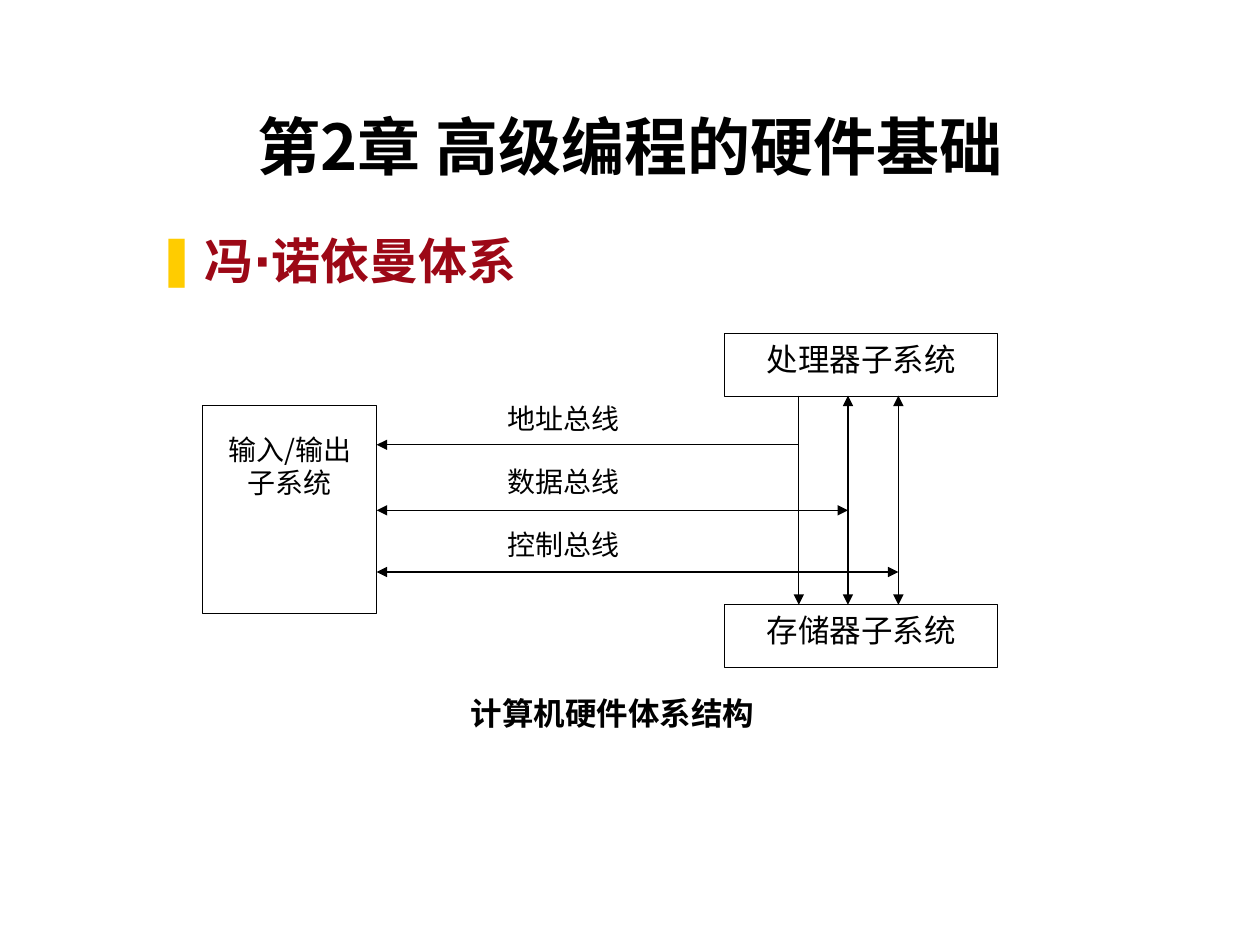
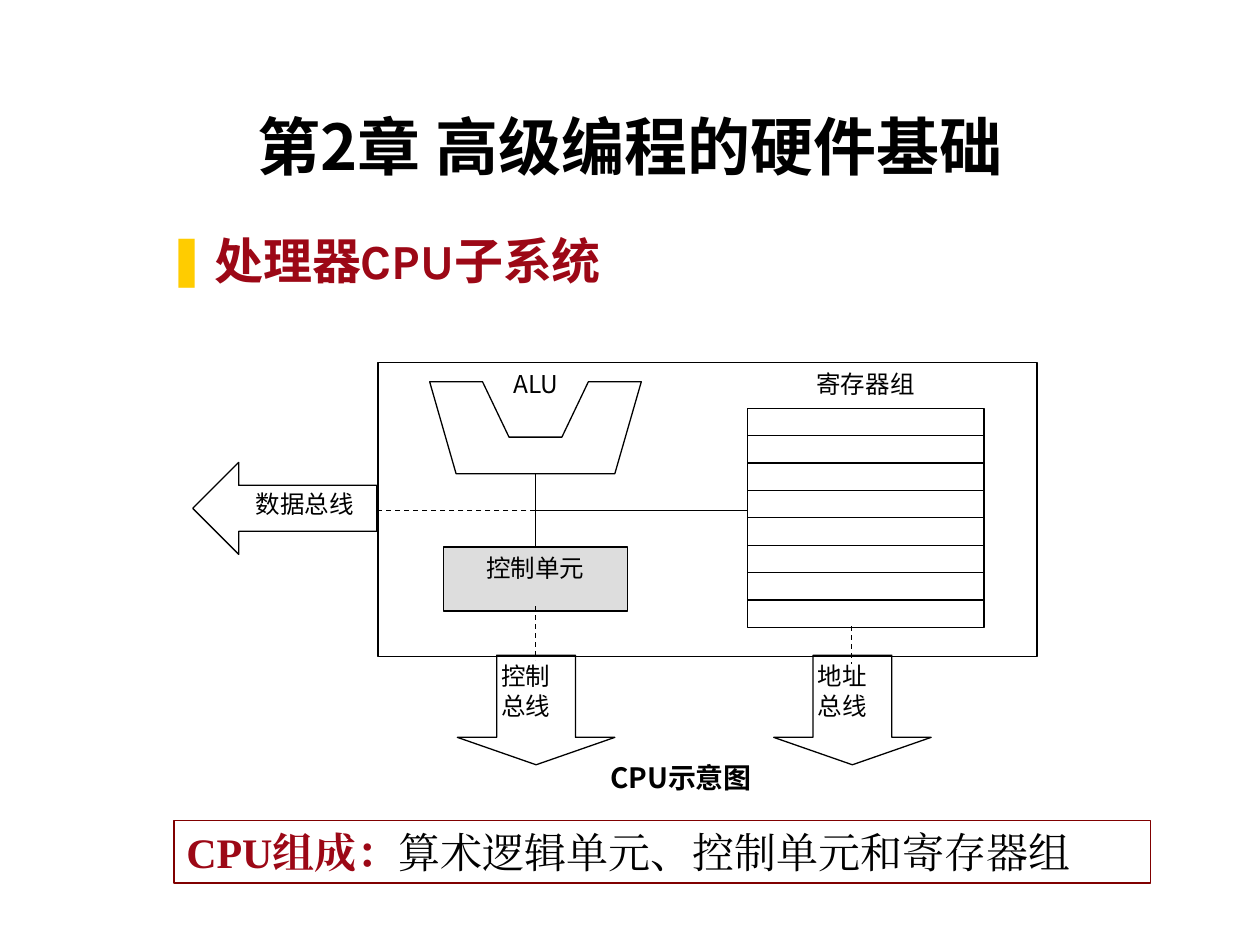
from dataclasses import dataclass

from lxml.etree import SubElement
from pptx import Presentation
from pptx.dml.color import RGBColor
from pptx.enum.dml import MSO_LINE
from pptx.enum.shapes import MSO_CONNECTOR, MSO_SHAPE
from pptx.enum.text import MSO_ANCHOR, MSO_AUTO_SIZE, PP_ALIGN
from pptx.oxml.ns import qn
from pptx.util import Inches, Pt


@dataclass(frozen=True)
class Theme:
    black: str = "000000"
    white: str = "FFFFFF"
    grey: str = "DDDDDD"
    crimson: str = "9C0816"
    maroon: str = "800000"
    bullet: str = "FFCC00"
    font: str = "Noto Sans CJK SC"
    heading_font: str = "Karla"
    dot_font: str = "Arial"
    summary_font: str = "Times New Roman"
    title_size: int = 36
    heading_size: int = 28
    summary_size: int = 24
    large: int = 18
    medium: int = 16
    small: int = 14
    line_width: float = 0.75


THEME = Theme()
CHAPTER = "第2章 高级编程的硬件基础"


# Text and line formatting
def format_run(run, size, font=THEME.font, color=THEME.black, bold=False):
    run.font.name = font
    run.font.size = Pt(size)
    run.font.bold = bold
    run.font.color.rgb = RGBColor.from_string(color)
    SubElement(run._r.get_or_add_rPr(), qn("a:ea"), typeface=font)


def write(frame, text, size, align=PP_ALIGN.CENTER, **style):
    frame.word_wrap = True
    frame.auto_size = MSO_AUTO_SIZE.NONE
    frame.text = text
    for paragraph in frame.paragraphs:
        paragraph.alignment = align
        for run in paragraph.runs:
            format_run(run, size, **style)


def place(shape, left, top, width, height):
    shape.left, shape.top = Inches(left), Inches(top)
    shape.width, shape.height = Inches(width), Inches(height)


def stroke(line, color=THEME.black):
    line.color.rgb = RGBColor.from_string(color)
    line.width = Pt(THEME.line_width)


# Kinds of element
def add_outline(slide, kind, left, top, width, height,
                fill=None, color=THEME.black):
    shape = slide.shapes.add_shape(
        kind, Inches(left), Inches(top), Inches(width), Inches(height))
    shape.shadow.inherit = False
    if fill:
        shape.fill.solid()
        shape.fill.fore_color.rgb = RGBColor.from_string(fill)
    else:
        shape.fill.background()
    stroke(shape.line, color)
    return shape


def add_box(slide, text, size, left, top, width, height,
            fill=THEME.white, top_inset=0.05):
    box = add_outline(slide, MSO_SHAPE.RECTANGLE, left, top, width, height, fill)
    frame = box.text_frame
    frame.vertical_anchor = MSO_ANCHOR.TOP
    frame.margin_top = Inches(top_inset)
    write(frame, text, size)


def add_label(slide, text, size, left, top, width, height,
              align=PP_ALIGN.CENTER, left_inset=0.1, bold=False):
    label = slide.shapes.add_textbox(
        Inches(left), Inches(top), Inches(width), Inches(height))
    label.text_frame.margin_left = Inches(left_inset)
    write(label.text_frame, text, size, align, bold=bold)


def add_line(slide, start, end, head=False, tail=False, dashed=False):
    link = slide.shapes.add_connector(
        MSO_CONNECTOR.STRAIGHT, *map(Inches, start), *map(Inches, end))
    stroke(link.line)
    if dashed:
        link.line.dash_style = MSO_LINE.DASH
    for tag, wanted in (("a:headEnd", head), ("a:tailEnd", tail)):
        if wanted:
            SubElement(link.line._get_or_add_ln(), qn(tag), type="triangle")
    SubElement(link._element.spPr, qn("a:effectLst"))


def add_bus_arrow(slide, kind, head_length, left, top, width, height):
    arrow = add_outline(slide, kind, left, top, width, height)
    arrow.adjustments[0] = 0.5
    arrow.adjustments[1] = head_length


def add_polygon(slide, points):
    corners = [(Inches(x), Inches(y)) for x, y in points]
    builder = slide.shapes.build_freeform(*corners[0])
    builder.add_line_segments(corners[1:], close=True)
    polygon = builder.convert_to_shape()
    polygon.shadow.inherit = False
    polygon.fill.background()
    stroke(polygon.line)


def start_slide(deck, heading_parts, left, width):
    """Add a slide with the chapter title and a bulleted heading."""
    slide = deck.slides.add_slide(deck.slide_layouts[1])
    title, heading = slide.shapes.title, slide.placeholders[1]
    place(title, 0, 0.25, 10, 1.25)
    title.text_frame.vertical_anchor = MSO_ANCHOR.BOTTOM
    write(title.text_frame, CHAPTER, THEME.title_size, bold=True)

    place(heading, left, 1.78, width, 0.69)
    heading.text_frame.word_wrap = True
    heading.text_frame.auto_size = MSO_AUTO_SIZE.NONE
    paragraph = heading.text_frame.paragraphs[0]
    properties = paragraph._p.get_or_add_pPr()
    properties.set("marL", str(Inches(0.38)))
    properties.set("indent", str(Inches(-0.38)))
    bullet_color = SubElement(properties, qn("a:buClr"))
    SubElement(bullet_color, qn("a:srgbClr"), val=THEME.bullet)
    SubElement(properties, qn("a:buChar"), char="❚")
    paragraph.alignment = PP_ALIGN.JUSTIFY
    paragraph.space_before = Pt(0)
    for text, font in heading_parts:
        run = paragraph.add_run()
        run.text = text
        format_run(run, THEME.heading_size, font, THEME.crimson, True)
    return slide


# Slide 1: hardware architecture
def build_architecture(deck):
    slide = start_slide(deck, [("冯", THEME.heading_font),
                               ("⋅", THEME.dot_font),
                               ("诺依曼体系", THEME.heading_font)], 1.14, 5.17)

    # Subsystems
    io_right, cpu_bottom, memory_top = 2.99, 3.14, 4.8
    add_box(slide, "输入/输出子系统", THEME.medium, 1.61, 3.22, 1.38, 1.65,
            top_inset=0.21)
    add_box(slide, "处理器子系统", THEME.large, 5.75, 2.65, 2.17, 0.5)
    add_box(slide, "存储器子系统", THEME.large, 5.75, memory_top, 2.17, 0.5)

    # Buses: each has a branch to I/O and a trunk from processor to memory
    buses = [("地址总线", 3.53, 6.34, False),
             ("数据总线", 4.05, 6.73, True),
             ("控制总线", 4.54, 7.13, True)]
    for row, (name, branch_y, trunk_x, two_way) in enumerate(buses):
        add_label(slide, name, THEME.medium, 3.39, 3.14 + 0.5 * row, 2.17, 0.5)
        add_line(slide, (io_right, branch_y), (trunk_x, branch_y),
                 head=True, tail=two_way)
        add_line(slide, (trunk_x, cpu_bottom), (trunk_x, memory_top),
                 head=two_way, tail=True)

    add_label(slide, "计算机硬件体系结构", THEME.large, 2.99, 5.46, 3.74, 0.5,
              bold=True)


# Slide 2: processor
def build_processor(deck):
    slide = start_slide(deck, [("处理器CPU子系统", THEME.heading_font)],
                        1.22, 8.25)
    add_outline(slide, MSO_SHAPE.RECTANGLE, 3, 2.88, 5.23, 2.33)

    # ALU, symmetric about its axis
    axis = 4.25
    right_half = [(0.21, 3.47), (0.42, 3.03), (0.84, 3.03), (0.63, 3.76)]
    add_polygon(slide, [(axis + dx, y) for dx, y in right_half]
                + [(axis - dx, y) for dx, y in reversed(right_half)])
    add_label(slide, "ALU", THEME.small, 3.63, 2.88, 1.25, 0.44)

    # Control unit
    add_box(slide, "控制单元", THEME.small, 3.52, 4.34, 1.46, 0.51, THEME.grey)

    # Register group
    left, top, width, height, count = 5.93, 3.24, 1.88, 1.74, 8
    add_label(slide, "寄存器组", THEME.small, 6.14, 2.88, 1.46, 0.44)
    add_outline(slide, MSO_SHAPE.RECTANGLE, left, top, width, height,
                THEME.white)
    for register in range(1, count):
        y = top + height * register / count
        add_line(slide, (left, y), (left + width, y))

    # Internal links
    bus_y, address_x = 4.05, 6.76
    add_line(slide, (axis, 3.76), (axis, 4.34))
    add_line(slide, (axis, bus_y), (left, bus_y))
    add_line(slide, (axis, bus_y), (3, bus_y), dashed=True)
    add_line(slide, (address_x, 4.97), (address_x, 5.27), dashed=True)
    add_line(slide, (axis, 4.81), (axis, 5.24), dashed=True)

    # External buses
    add_bus_arrow(slide, MSO_SHAPE.LEFT_ARROW, 0.5, 1.53, 3.67, 1.46, 0.73)
    add_label(slide, "数据总线", THEME.small, 1.69, 3.83, 1.46, 0.44)
    for name, x in (("控制\n总线", axis), ("地址\n总线", address_x)):
        add_bus_arrow(slide, MSO_SHAPE.DOWN_ARROW, 0.25,
                      x - 0.62, 5.2, 1.25, 0.87)
        add_label(slide, name, THEME.small, x - 0.41, 5.2, 0.84, 0.87,
                  PP_ALIGN.JUSTIFY, left_inset=0.14)
    add_label(slide, "CPU示意图", THEME.medium, 3.42, 5.99, 3.97, 0.44,
              bold=True)

    # Summary
    summary = add_outline(slide, MSO_SHAPE.RECTANGLE, 1.38, 6.51, 7.75, 0.5,
                          color=THEME.maroon)
    write(summary.text_frame, "CPU组成：", THEME.summary_size, PP_ALIGN.LEFT,
          font=THEME.summary_font, color=THEME.crimson, bold=True)
    parts = summary.text_frame.paragraphs[0].add_run()
    parts.text = "算术逻辑单元、控制单元和寄存器组"
    format_run(parts, THEME.summary_size, THEME.summary_font)


def main():
    deck = Presentation()
    deck.slide_width, deck.slide_height = Inches(10), Inches(7.5)
    build_architecture(deck)
    build_processor(deck)
    deck.save("out.pptx")


if __name__ == "__main__":
    main()
